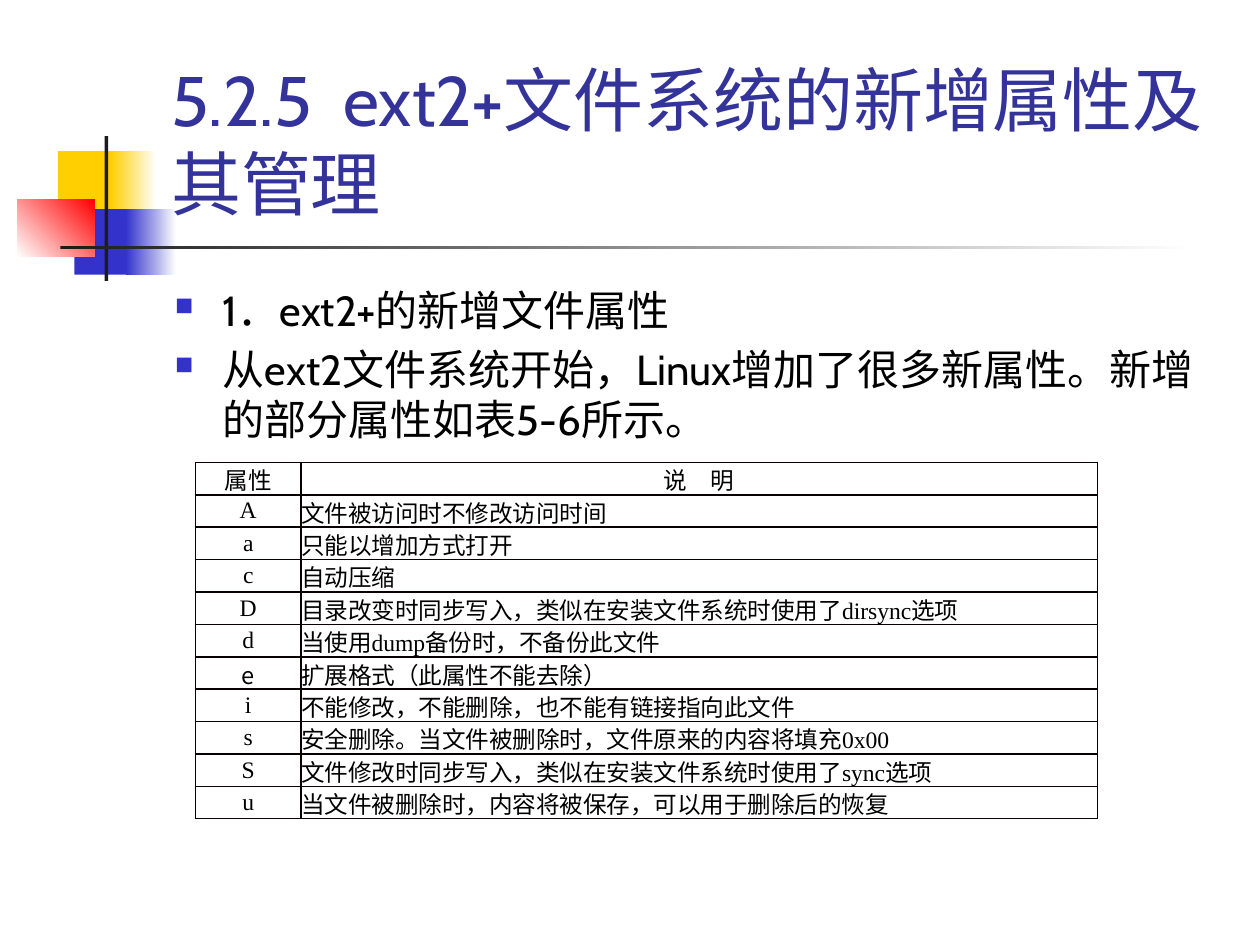
from lxml import etree
from pptx import Presentation
from pptx.dml.color import RGBColor
from pptx.enum import shapes, text
from pptx.oxml import ns
from pptx.util import Inches, Pt

YELLOW, BLUE, RED, DARK, WHITE = "FFCF01", "3333CC", "FF0000", "1C1C1C", "FFFFFF"
BORDER = "080000"
TITLE_FORMAT = {"name": "Cabin", "size": Pt(40), "color": "333399"}
BODY_FORMAT = {"name": "Cabin", "size": Pt(24), "color": "000000"}
CELL_FORMAT = {"name": "Times New Roman", "size": Pt(13.5), "color": "000000"}
SANS_CELL_FORMAT = {**CELL_FORMAT, "name": "Noto Sans CJK SC"}

# left, top, width, height, colours from start to end, gradient angle
ORNAMENTS = [
    (0.46, 1.2, 0.48, 0.52, [YELLOW], 0),
    (0.88, 1.2, 0.36, 0.52, [YELLOW, WHITE], 0),
    (0.59, 1.66, 0.46, 0.52, [BLUE], 0),
    (1, 1.66, 0.4, 0.52, [BLUE, WHITE], 0),
    (0.14, 1.58, 0.61, 0.46, [WHITE, RED], 45),
    (0.83, 1.08, 0.03, 1.15, [DARK], 0),
    (0.48, 1.95, 9, 0.03, [DARK, WHITE], 0),
]
TITLE = "5.2.5  ext2+文件系统的新增属性及其管理"
BULLETS = [
    "1．ext2+的新增文件属性",
    "从ext2文件系统开始，Linux增加了很多新属性。新增的部分属性如表5-6所示。",
]
# "|" switches between the serif and the sans cell font
ATTRIBUTES = [
    ("属性", "说　明"),
    ("A", "文件被访问时不修改访问时间"),
    ("a", "只能|以|增加方式打开"),
    ("c", "自动压缩"),
    ("D", "目录改变时同步写入，类似在安装文件系统时使用了dirsync选项"),
    ("d", "当使用dump|备份|时，不备份|此文件"),
    ("|e", "|扩展格式（此属性不能去除）"),
    ("i", "不能修改，不能删除，也不能有链接指向此文件"),
    ("s", "安全删除。当文件被删除时，文件原来的内容将填充0x00"),
    ("S", "文件修改时同步写入，类似在安装文件系统时使用了sync选项"),
    ("u", "当文件被删除时，内容将被保存，可以用于删除后的恢复"),
]
TABLE_BOX = (1.55, 3.67, 7.16, 2.83)
COLUMN_WIDTHS = (0.84, 6.32)


def rgb(value):
    return RGBColor.from_string(value)


def inches(values):
    return [Inches(value) for value in values]


def child(parent, tag, **attributes):
    return etree.SubElement(parent, ns.qn(tag), attributes)


def format_font(font, values):
    for key, value in values.items():
        if key == "color":
            font.color.rgb = rgb(value)
        else:
            setattr(font, key, value)


def add_ornament(slide, box, colors, angle):
    ornament = slide.shapes.add_shape(shapes.MSO_SHAPE.RECTANGLE, *inches(box))
    ornament.shadow.inherit = False
    ornament.line.fill.background()
    if len(colors) == 1:
        ornament.fill.solid()
        ornament.fill.fore_color.rgb = rgb(colors[0])
        return
    ornament.fill.gradient()
    ornament.fill.gradient_angle = angle
    for position, (stop, color) in enumerate(zip(ornament.fill.gradient_stops, colors)):
        stop.position = position
        stop.color.rgb = rgb(color)


def add_text(slide, box, anchor):
    frame = slide.shapes.add_textbox(*inches(box)).text_frame
    frame.word_wrap = True
    frame.vertical_anchor = anchor
    return frame


def add_bullet(paragraph):
    properties = paragraph._p.get_or_add_pPr()
    properties.set("marL", str(Inches(0.38)))
    properties.set("indent", str(-Inches(0.38)))
    child(child(properties, "a:buClr"), "a:srgbClr", val=BLUE)
    child(properties, "a:buSzPct", val="60000")
    child(properties, "a:buChar", char="■")


def add_borders(cell):
    properties = cell._tc.get_or_add_tcPr()
    for side in "LRTB":
        line = child(properties, f"a:ln{side}", w=str(Pt(1)))
        child(child(line, "a:solidFill"), "a:srgbClr", val=BORDER)


def fill_cell(cell, content, centred):
    add_borders(cell)
    cell.fill.background()
    cell.vertical_anchor = text.MSO_ANCHOR.MIDDLE
    for side in ("left", "right", "top", "bottom"):
        setattr(cell, f"margin_{side}", 0)
    paragraph = cell.text_frame.paragraphs[0]
    paragraph.alignment = text.PP_ALIGN.CENTER if centred else text.PP_ALIGN.LEFT
    for index, part in enumerate(content.split("|")):
        if part:
            run = paragraph.add_run()
            run.text = part
            format_font(run.font, SANS_CELL_FORMAT if index % 2 else CELL_FORMAT)


def add_attribute_table(slide):
    table = slide.shapes.add_table(
        len(ATTRIBUTES), len(COLUMN_WIDTHS), *inches(TABLE_BOX)).table
    table.first_row = table.horz_banding = False
    for column, width in zip(table.columns, COLUMN_WIDTHS):
        column.width = Inches(width)
    for r, row in enumerate(ATTRIBUTES):
        for c, content in enumerate(row):
            fill_cell(table.cell(r, c), content, centred=r == 0 or c == 0)


def main():
    deck = Presentation()
    deck.slide_width, deck.slide_height = Inches(10), Inches(7.5)
    slide = deck.slides.add_slide(deck.slide_layouts[6])

    for *box, colors, angle in ORNAMENTS:
        add_ornament(slide, box, colors, angle)

    title = add_text(slide, (1.26, 0.23, 8.52, 1.6), text.MSO_ANCHOR.BOTTOM)
    title.text = TITLE
    format_font(title.paragraphs[0].runs[0].font, TITLE_FORMAT)

    body = add_text(slide, (1.29, 2.21, 8.5, 4.5), text.MSO_ANCHOR.TOP)
    for index, content in enumerate(BULLETS):
        paragraph = body.add_paragraph() if index else body.paragraphs[0]
        add_bullet(paragraph)
        if index:
            paragraph.space_before = Pt(4.8)
        run = paragraph.add_run()
        run.text = content
        format_font(run.font, BODY_FORMAT)

    add_attribute_table(slide)
    deck.save("out.pptx")


if __name__ == "__main__":
    main()
